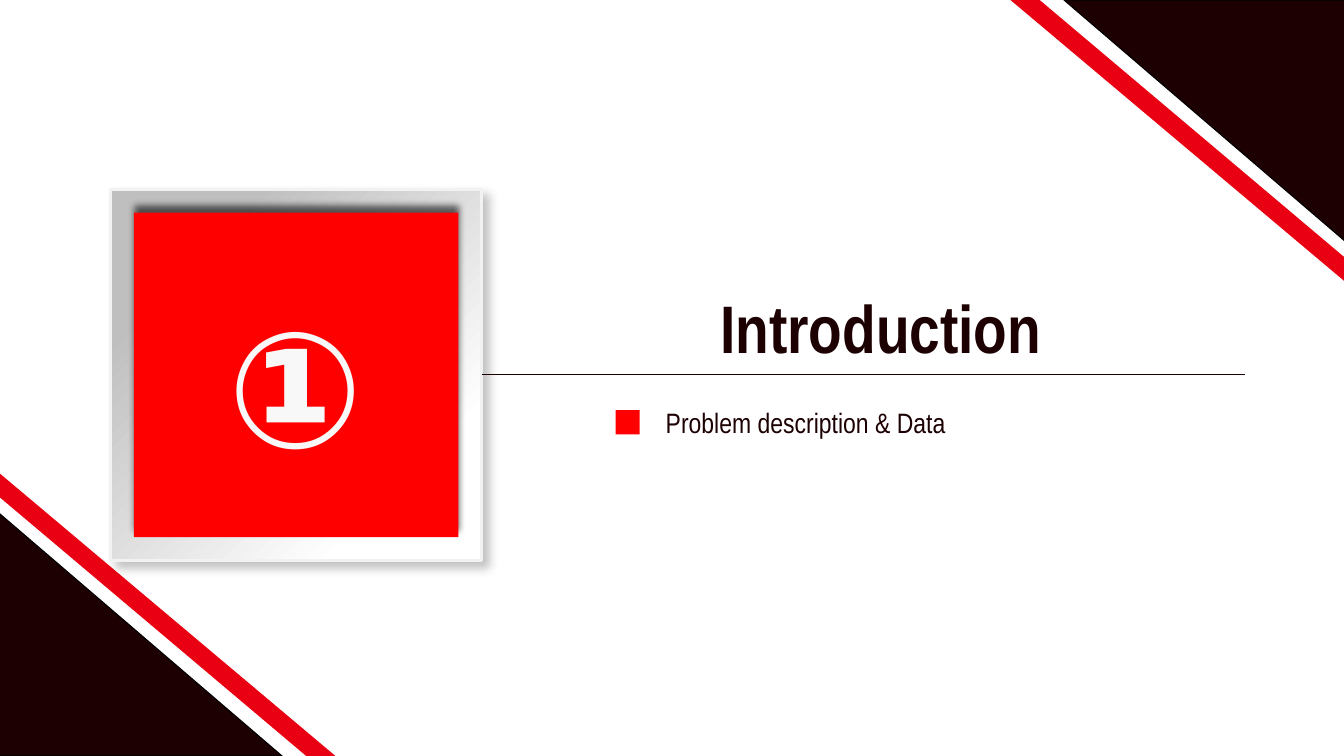
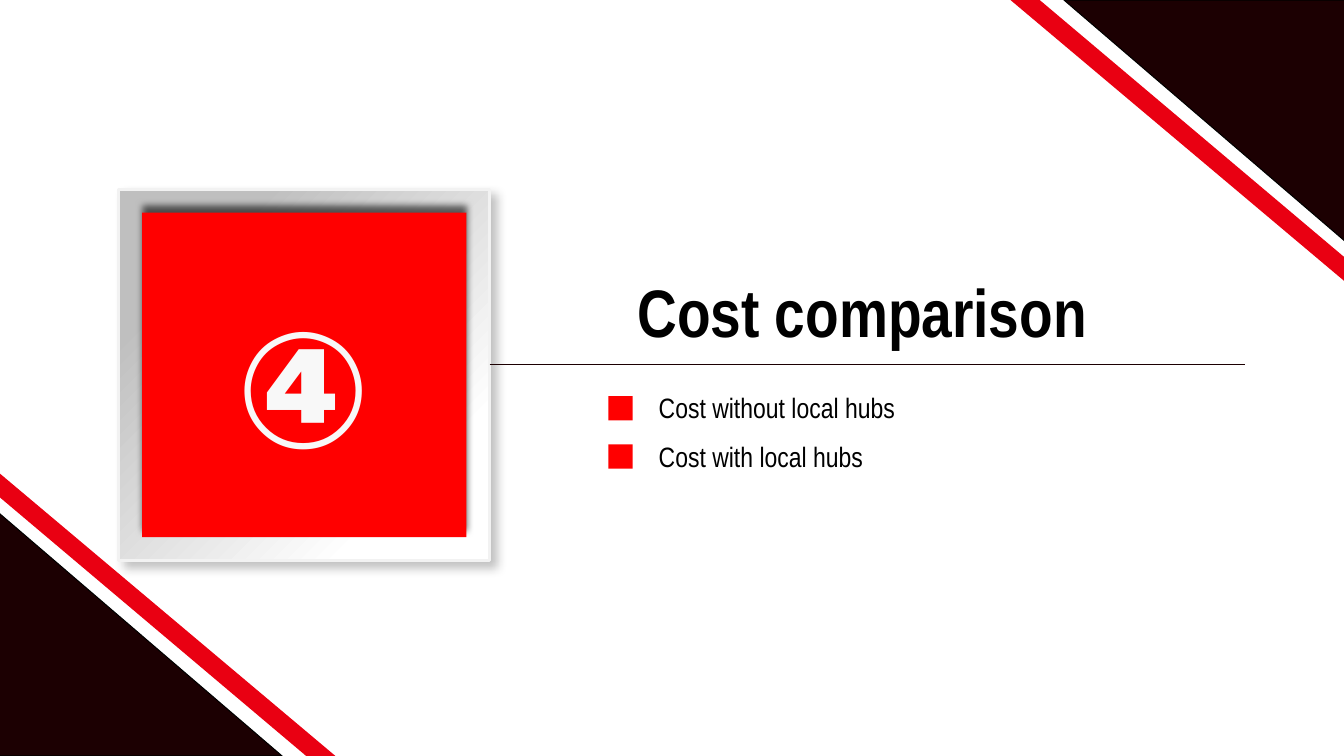
from lxml import etree
from pptx import Presentation
from pptx.dml.color import RGBColor
from pptx.enum.shapes import MSO_CONNECTOR, MSO_SHAPE
from pptx.enum.text import MSO_AUTO_SIZE, PP_ALIGN
from pptx.oxml import parse_xml
from pptx.oxml.ns import qn
from pptx.util import Inches, Pt

RECT, TRIANGLE = MSO_SHAPE.RECTANGLE, MSO_SHAPE.RIGHT_TRIANGLE
STRAIGHT = MSO_CONNECTOR.STRAIGHT
LEFT, CENTER = PP_ALIGN.LEFT, PP_ALIGN.CENTER
FIT = MSO_AUTO_SIZE.SHAPE_TO_FIT_TEXT
A_NS = "http://schemas.openxmlformats.org/drawingml/2006/main"

FONT = "Arial Narrow"
DARK, BLACK, BAND, RED = "1C0002", "000000", "E90012", "FF0000"
NUMERAL, EDGE, GREY, WHITE = "F8F8F8", "F2F2F2", "BFBFBF", "FFFFFF"

# title_box: left, top, width; marker: left, top of the first bullet square
SECTIONS = [
    {"number": "①", "title": "Introduction", "color": DARK,
     "title_box": (4.96, 2.79, 7.57), "rule_y": 3.72,
     "frame_x": 1.1, "marker": (6.11, 4.07),
     "topics": ["Problem description & Data"]},
    {"number": "④", "title": "Cost comparison", "color": BLACK,
     "title_box": (4.65, 2.63, 7.82), "rule_y": 3.62,
     "frame_x": 1.18, "marker": (6.04, 3.93),
     "topics": ["Cost without local hubs", "Cost with local hubs"]},
]

FRAME_Y, FRAME_SIZE, FRAME_BORDER = 1.88, 3.68, 0.23
RULE_END = 12.36
MARKER_SIZE, TOPIC_STEP = 0.24, 0.48
TRIANGLE_BOX = (-0.01, 5.09, 2.81, 2.41)
BAND_POINTS = [(-0.01, 4.69), (3.33, 7.5), (3.04, 7.5), (-0.03, 4.91)]
TURN_X, TURN_Y = 13.36, 7.5


def rgb(value):
    return RGBColor.from_string(value)


def turned(x, y):
    """Turn a point of the lower left corner into the upper right one."""
    return TURN_X - x, TURN_Y - y


def add_box(slide, kind, x, y, w, h, fill=None, line=None, line_pt=0.75):
    sp = slide.shapes.add_shape(kind, Inches(x), Inches(y), Inches(w), Inches(h))
    sp.shadow.inherit = False
    if fill:
        sp.fill.solid()
        sp.fill.fore_color.rgb = rgb(fill)
    if line:
        sp.line.color.rgb = rgb(line)
        sp.line.width = Pt(line_pt)
    else:
        sp.line.fill.background()
    return sp


def add_shadow(sp, alpha, blur, dist, angle):
    """Fill the empty effect list; alpha in percent, blur and dist in points."""
    effects = sp.element.spPr.find(qn("a:effectLst"))
    effects.append(parse_xml(
        f'<a:outerShdw xmlns:a="{A_NS}" blurRad="{Pt(blur)}" dist="{Pt(dist)}" '
        f'dir="{angle * 60000}" algn="ctr" rotWithShape="0">'
        f'<a:srgbClr val="{BLACK}"><a:alpha val="{alpha * 1000}"/></a:srgbClr>'
        '</a:outerShdw>'))


def add_text(slide, text, x, y, w, h, size, color, bold=False, align=LEFT):
    sp = slide.shapes.add_textbox(Inches(x), Inches(y), Inches(w), Inches(h))
    tf = sp.text_frame
    tf.word_wrap = True
    p = tf.paragraphs[0]
    p.alignment = align
    r = p.add_run()
    r.text = text
    r.font.name, r.font.size, r.font.bold = FONT, Pt(size), bold
    r.font.color.rgb = rgb(color)
    return tf


def add_band(slide, points):
    corners = [(Inches(x), Inches(y)) for x, y in points]
    builder = slide.shapes.build_freeform(*corners[0])
    builder.add_line_segments(corners[1:], close=True)
    sp = builder.convert_to_shape()
    sp.shadow.inherit = False
    sp.fill.solid()
    sp.fill.fore_color.rgb = rgb(BAND)
    sp.line.fill.background()
    return sp


def decorate_layout(layout, slide):
    """Draw both corners on the slide, then move them to its layout."""
    for holder in list(layout.placeholders):
        layout.shapes.element.remove(holder.element)
    x, y, w, h = TRIANGLE_BOX
    lower = add_box(slide, TRIANGLE, x, y, w, h, DARK, BLACK)
    lower_band = add_band(slide, BAND_POINTS)
    upper = add_box(slide, TRIANGLE, *turned(x + w, y + h), w, h, DARK, BLACK)
    upper.rotation = 180
    upper_band = add_band(slide, [turned(*point) for point in BAND_POINTS])
    for sp in (lower, lower_band, upper, upper_band):
        layout.shapes.element.append(sp.element)


def add_number(slide, number, x):
    """Add the framed section number and return the frame."""
    frame = add_box(slide, RECT, x, FRAME_Y, FRAME_SIZE, FRAME_SIZE,
                    line=EDGE, line_pt=2.25)
    frame.fill.gradient()
    frame.fill.gradient_angle = 315
    stops = frame.fill.gradient_stops
    for stop, position, color in zip(stops, (0.2, 0.8), (GREY, WHITE)):
        stop.position = position
        stop.color.rgb = rgb(color)
    add_shadow(frame, 23, 7, 5.9, 45)
    inner = FRAME_SIZE - 2 * FRAME_BORDER
    panel = add_box(slide, RECT, x + FRAME_BORDER, FRAME_Y + FRAME_BORDER,
                    inner, inner, RED)
    add_shadow(panel, 60, 5, 5, 270)
    tf = add_text(slide, number, x + 0.35, 2.22, 2.97, 2.36, 115, NUMERAL,
                  True, CENTER)
    tf.paragraphs[0].line_spacing = 1.3
    return frame


def add_rule(slide, frame, y):
    rule = slide.shapes.add_connector(
        STRAIGHT, frame.left + frame.width, Inches(y), Inches(RULE_END), Inches(y))
    if Inches(y) == frame.top + frame.height // 2:
        rule.begin_connect(frame, 3)
    rule.line.color.rgb = rgb(DARK)
    rule.line.width = Pt(0.75)
    etree.SubElement(rule.element.spPr, qn("a:effectLst"))


def add_section(slide, section):
    color = section["color"]
    frame = add_number(slide, section["number"], section["frame_x"])
    add_rule(slide, frame, section["rule_y"])
    title = add_text(slide, section["title"], *section["title_box"], 0.91, 48,
                     color, True, CENTER)
    title.auto_size = FIT
    x, top = section["marker"]
    for i, topic in enumerate(section["topics"]):
        y = top + i * TOPIC_STEP
        add_box(slide, RECT, x, y, MARKER_SIZE, MARKER_SIZE, RED)
        tf = add_text(slide, topic, x + 0.4, y - 0.1, 4.2, 0.44, 20, color)
        tf.auto_size = FIT


def main():
    prs = Presentation()
    prs.slide_width, prs.slide_height = Inches(13.34), Inches(7.5)
    blank = prs.slide_layouts[6]
    slides = [prs.slides.add_slide(blank) for _ in SECTIONS]
    decorate_layout(blank, slides[0])
    for slide, section in zip(slides, SECTIONS):
        add_section(slide, section)
    prs.save("out.pptx")


if __name__ == "__main__":
    main()
